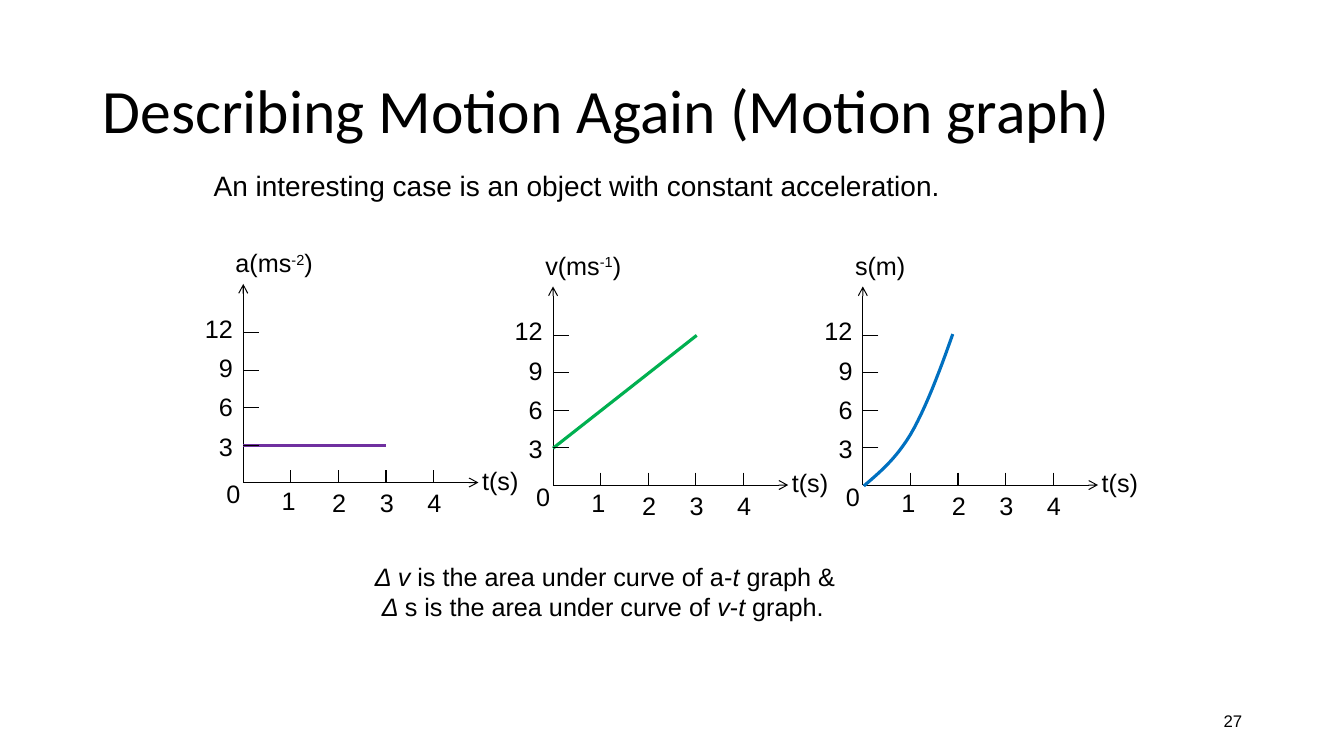
from dataclasses import dataclass
from typing import Optional

from lxml.etree import SubElement
from pptx import Presentation
from pptx.dml.color import RGBColor
from pptx.enum.shapes import MSO_CONNECTOR
from pptx.enum.text import MSO_ANCHOR, MSO_AUTO_SIZE, PP_ALIGN
from pptx.oxml.ns import qn
from pptx.util import Inches, Pt

BLACK = RGBColor(0x00, 0x00, 0x00)
PURPLE = RGBColor(0x70, 0x30, 0xA0)
GREEN = RGBColor(0x00, 0xB0, 0x50)
BLUE = RGBColor(0x00, 0x70, 0xC0)

# The slide is a grid of 100 columns by 100 rows
WIDTH, HEIGHT = Inches(13.33), Inches(7.5)
COLUMN, ROW = WIDTH / 100, HEIGHT / 100

# Graph scale, in columns and rows
SECOND = 3.54
VALUE = 1.65
AXIS_LENGTH, AXIS_HEIGHT = 17.5, 26.27
TICK_LENGTH = 1.16
LABEL_STEP = 5.2
LABEL_HEIGHT = 5.33
DIGIT_WIDTH, TWO_DIGIT_WIDTH = 2.55, 3.6
CURVE_STEPS = 12

Point = tuple[float, float]


@dataclass
class Run:
    text: str
    italic: bool = False
    superscript: bool = False


@dataclass
class MotionGraph:
    origin: Point
    title: list[Run]
    title_width: float
    color: RGBColor
    points: list[Point]  # seconds and values; more than two are Bézier controls


GRAPHS = [
    MotionGraph((64.2, 64.16), [Run("s(m)")], 5.33, BLUE,
                [(0.02, -0.08), (0.34, 0.97), (0.68, 2.02), (1, 4.04),
                 (1.31, 6.06), (1.61, 9.05), (1.89, 12.1)]),
    MotionGraph((41.15, 64.16), [Run("v(ms"), Run("-1", superscript=True), Run(")")],
                7.35, GREEN, [(0, 2.95), (3.02, 12)]),
    MotionGraph((18.1, 63.83), [Run("a(ms"), Run("-2", superscript=True), Run(")")],
                7.5, PURPLE, [(0, 3), (3, 3)]),
]

AREA_NOTE = [
    [Run("Δ v", italic=True), Run(" is the area under curve of a-"),
     Run("t", italic=True), Run(" graph &")],
    [Run(" "), Run("Δ ", italic=True), Run("s is the area under curve of "),
     Run("v", italic=True), Run("-"), Run("t", italic=True), Run(" graph.")],
]


def add_text(shapes, paragraphs: list[list[Run]], left: float, top: float,
             width: float, height: float, *, size: float = 18, font: str = "Arial",
             wrap: bool = False, grow: bool = True, align=PP_ALIGN.LEFT,
             anchor=MSO_ANCHOR.TOP, spacing: Optional[float] = None) -> None:
    shape = shapes.add_textbox(round(left * COLUMN), round(top * ROW),
                               round(width * COLUMN), round(height * ROW))
    frame = shape.text_frame
    frame.word_wrap = wrap
    frame.auto_size = MSO_AUTO_SIZE.SHAPE_TO_FIT_TEXT if grow else MSO_AUTO_SIZE.NONE
    frame.vertical_anchor = anchor
    for index, runs in enumerate(paragraphs):
        paragraph = frame.add_paragraph() if index else frame.paragraphs[0]
        paragraph.alignment = align
        paragraph.line_spacing = spacing
        for item in runs:
            run = paragraph.add_run()
            run.text = item.text
            run.font.size, run.font.name = Pt(size), font
            run.font.italic = item.italic
            run.font.color.rgb = BLACK
            if item.superscript:
                run.font._element.set("baseline", "30000")


def add_line(shapes, start: Point, end: Point, color: RGBColor = BLACK,
             weight: float = 0.75, arrow: bool = False) -> None:
    line = shapes.add_connector(MSO_CONNECTOR.STRAIGHT,
                                round(start[0] * COLUMN), round(start[1] * ROW),
                                round(end[0] * COLUMN), round(end[1] * ROW))
    line.line.color.rgb = color
    line.line.width = Pt(weight)
    if arrow:
        SubElement(line.line._get_or_add_ln(), qn("a:tailEnd"), type="arrow")
    SubElement(line._element.spPr, qn("a:effectLst"))


def bezier_points(controls: list[Point]) -> list[Point]:
    points = [controls[0]]
    for first in range(0, len(controls) - 1, 3):
        segment = controls[first:first + 4]
        for step in range(1, CURVE_STEPS + 1):
            t = step / CURVE_STEPS
            weights = ((1 - t) ** 3, 3 * t * (1 - t) ** 2, 3 * t ** 2 * (1 - t), t ** 3)
            points.append((sum(w * p[0] for w, p in zip(weights, segment)),
                           sum(w * p[1] for w, p in zip(weights, segment))))
    return points


def add_curve(shapes, points: list[Point], color: RGBColor) -> None:
    corners = [(round(x * COLUMN), round(y * ROW)) for x, y in points]
    builder = shapes.build_freeform(*corners[0])
    builder.add_line_segments(corners[1:], close=False)
    curve = builder.convert_to_shape()
    curve.shadow.inherit = False
    curve.fill.background()
    curve.line.color.rgb = color
    curve.line.width = Pt(2.25)


def add_graph(slide, graph: MotionGraph) -> None:
    shapes = slide.shapes.add_group_shape().shapes
    x, y = graph.origin

    def place(point: Point) -> Point:
        return x + point[0] * SECOND, y - point[1] * VALUE

    def add_label(runs: list[Run], across: float, down: float, width: float) -> None:
        add_text(shapes, [runs], x + across, y + down, width, LABEL_HEIGHT)

    # Axes
    add_line(shapes, (x, y), (x, y - AXIS_HEIGHT), arrow=True)
    add_line(shapes, (x, y), (x + AXIS_LENGTH, y), arrow=True)

    # Plotted motion
    if len(graph.points) == 2:
        start, end = map(place, graph.points)
        add_line(shapes, start, end, graph.color, 2.25)
    else:
        add_curve(shapes, [place(p) for p in bezier_points(graph.points)], graph.color)

    # Ticks and their numbers
    for number in range(1, 5):
        add_line(shapes, place((number, 1)), place((number, 0)))
        nudge_x, nudge_y = (-1.42, -0.3) if number == 1 else (-1.2, 0)
        add_label([Run(str(number))], number * SECOND + nudge_x, nudge_y, DIGIT_WIDTH)

        value = 3 * number
        tick_x, tick_y = place((0, value))
        add_line(shapes, (tick_x + TICK_LENGTH, tick_y), (tick_x, tick_y))
        width = DIGIT_WIDTH if value < 10 else TWO_DIGIT_WIDTH
        add_label([Run(str(value))], -width, -2.27 - number * LABEL_STEP, width)

    # Axis names and zero
    add_label(graph.title, -1.32, -31.75, graph.title_width)
    add_label([Run("t(s)")], 17.03, -2.95, 4.28)
    add_label([Run("0")], -2, -1.2, DIGIT_WIDTH)


def main() -> None:
    presentation = Presentation()
    presentation.slide_width, presentation.slide_height = WIDTH, HEIGHT
    slide = presentation.slides.add_slide(presentation.slide_layouts[6])

    # Heading, page number and introduction
    add_text(slide.shapes, [[Run("Describing Motion Again (Motion graph)")]],
             6.9, 5.33, 86.25, 19.33, size=44, font="Calibri", wrap=True,
             grow=False, anchor=MSO_ANCHOR.MIDDLE, spacing=0.9)
    add_text(slide.shapes, [[Run("27")]], 70.67, 92.67, 22.5, 5.33, size=12,
             wrap=True, grow=False, align=PP_ALIGN.RIGHT, anchor=MSO_ANCHOR.MIDDLE)
    add_text(slide.shapes,
             [[Run("An interesting case is an object with constant acceleration.")]],
             15.15, 21.6, 67.35, 5.87, size=20, wrap=True)

    # Graphs and the note below them
    for graph in GRAPHS:
        add_graph(slide, graph)
    add_text(slide.shapes, AREA_NOTE, 27.15, 73.6, 36, 9.47)

    presentation.save("out.pptx")


if __name__ == "__main__":
    main()
